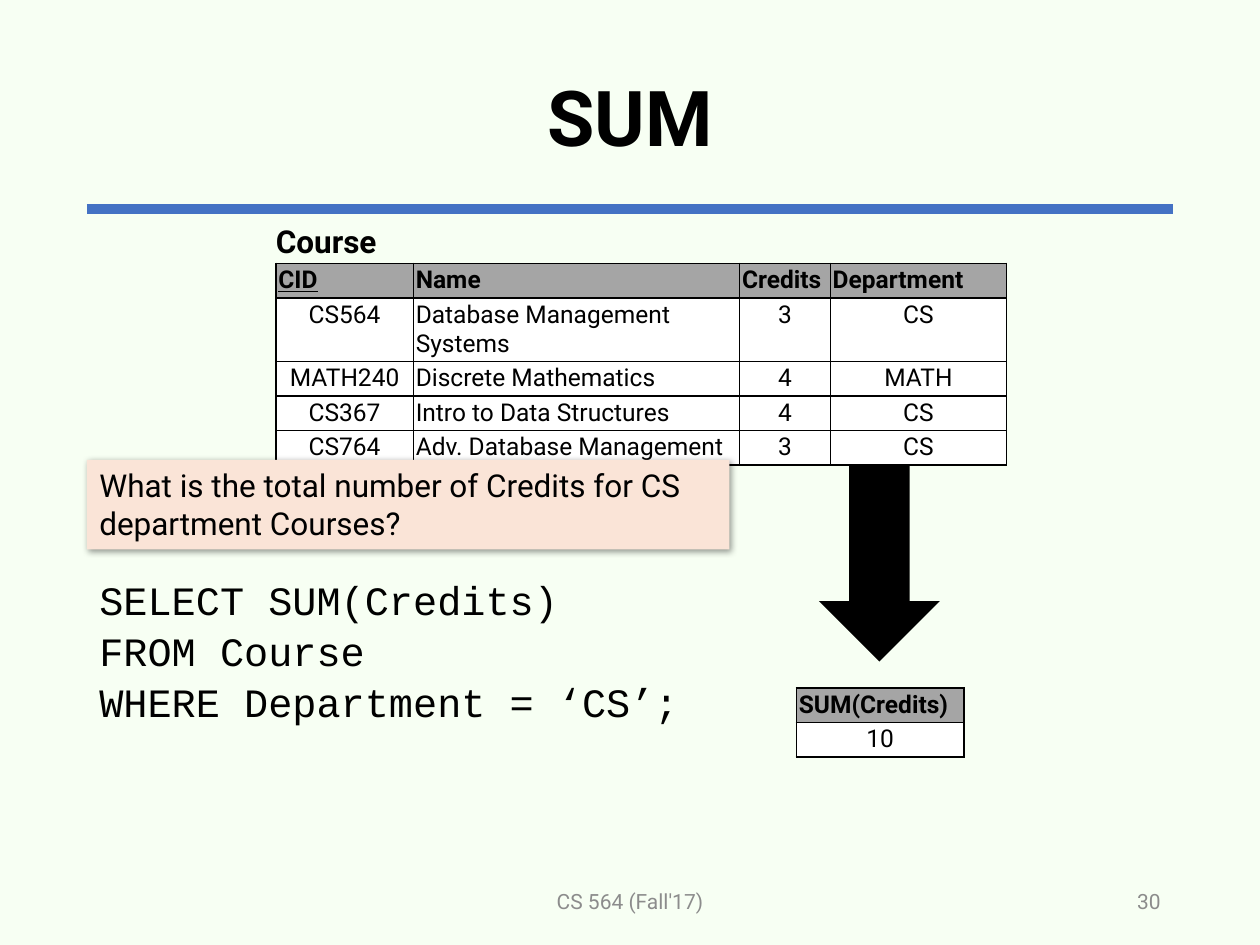
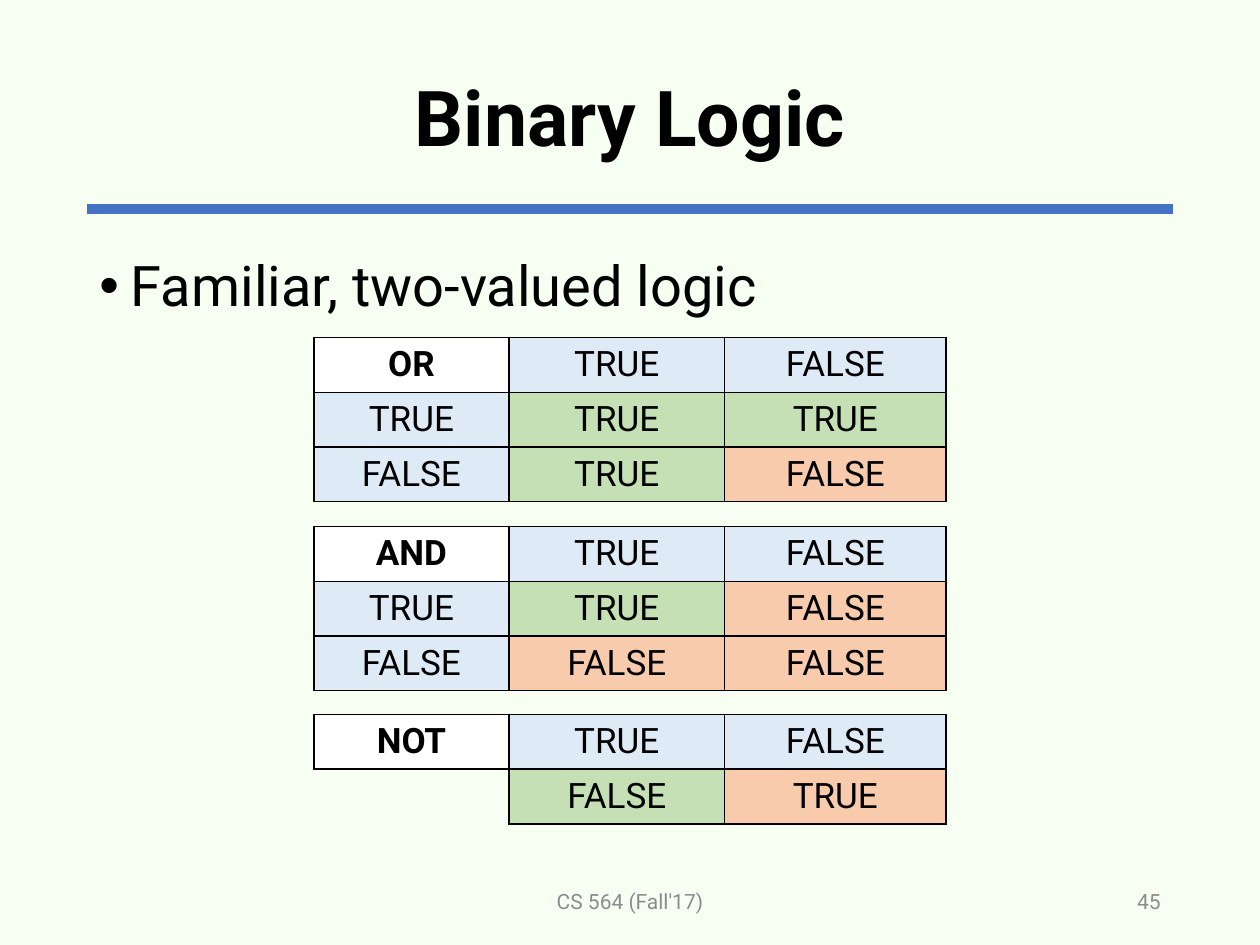
import pptx
import pptx.dml.color
import pptx.enum.shapes
import pptx.enum.text
import pptx.oxml
import pptx.oxml.ns
import pptx.util
from pptx.util import Inches

COLORS = {
    "background": "F7FFF3", "text": "000000", "rule": "4472C4", "footer": "8C8C8C",
    "header": "A5A5A5", "cell": "FFFFFF", "question": "FAE4D7",
    "input": "DEEBF7", "green": "C5E0B4", "orange": "F8CBAD",
}
ALIGN = pptx.enum.text.PP_ALIGN
ANCHOR = pptx.enum.text.MSO_ANCHOR
SHAPE = pptx.enum.shapes.MSO_SHAPE
LEFT, WIDTH = 0.69, 8.62
FOOTER = "CS 564 (Fall'17)"
BORDERS = ("lnL", "lnR", "lnT", "lnB")


def color(name):
    return pptx.dml.color.RGBColor.from_string(COLORS[name])


def set_values(target, values):
    for name, value in values.items():
        setattr(target, name, value)


def xml(tag, attributes="", content=""):
    namespace = pptx.oxml.ns.nsdecls("a")
    return pptx.oxml.parse_xml(f"<a:{tag} {namespace} {attributes}>{content}</a:{tag}>")


def write(paragraph, text, size, align=ALIGN.LEFT, font="Roboto", ink="text",
          bold=False, underline=False, spacing=1.0):
    set_values(paragraph, {"alignment": align, "line_spacing": spacing})
    run = paragraph.add_run()
    run.text = text
    set_values(run.font, {"name": font, "size": pptx.util.Pt(size),
                          "bold": bold, "underline": underline})
    run.font.color.rgb = color(ink)


def add_text(slide, box, lines, size, anchor=ANCHOR.TOP, wrap=True, **style):
    shape = slide.shapes.add_textbox(*map(Inches, box))
    frame = shape.text_frame
    set_values(frame, {"word_wrap": wrap, "vertical_anchor": anchor})
    for index, line in enumerate(lines):
        paragraph = frame.add_paragraph() if index else frame.paragraphs[0]
        write(paragraph, line, size, **style)
    return shape


def add_bullet(slide, box, text, size):
    shape = add_text(slide, box, [text], size, spacing=0.9)
    properties = shape.text_frame.paragraphs[0]._p.get_or_add_pPr()
    properties.set("marL", str(Inches(0.25)))
    properties.set("indent", str(-Inches(0.25)))
    properties.append(xml("buFont", 'typeface="Arial"'))
    properties.append(xml("buChar", 'char="•"'))


def add_filled_shape(slide, kind, box, fill):
    shape = slide.shapes.add_shape(kind, *map(Inches, box))
    shape.shadow.inherit = False
    shape.fill.solid()
    shape.fill.fore_color.rgb = color(fill)
    shape.line.fill.background()
    return shape


def add_question(slide, box, text):
    shape = add_filled_shape(slide, SHAPE.RECTANGLE, box, "question")
    shadow = xml("outerShdw", 'blurRad="50800" dist="12700" dir="2700000" rotWithShape="0"',
                 f'<a:srgbClr val="{COLORS["text"]}"><a:alpha val="40000"/></a:srgbClr>')
    shape._element.spPr.find(pptx.oxml.ns.qn("a:effectLst")).append(shadow)
    set_values(shape.text_frame, {"word_wrap": True, "vertical_anchor": ANCHOR.TOP})
    write(shape.text_frame.paragraphs[0], text, 18)


def set_borders(cell, visible=BORDERS):
    properties = cell._tc.get_or_add_tcPr()
    for index, side in enumerate(BORDERS):
        paint = (f'<a:solidFill><a:srgbClr val="{COLORS["text"]}"/></a:solidFill>'
                 if side in visible else "<a:noFill/>")
        properties.insert(index, xml(side, 'w="12700"', paint))


def add_table(slide, left, top, widths, heights, rows, style_cell):
    """style_cell(row, column, text) gives fill, text style, cell values."""
    box = map(Inches, (left, top, sum(widths), sum(heights)))
    table = slide.shapes.add_table(len(rows), len(widths), *box).table
    set_values(table, {"first_row": False, "horz_banding": False})
    for column, width in zip(table.columns, widths):
        column.width = Inches(width)
    for row_index, texts in enumerate(rows):
        table.rows[row_index].height = Inches(heights[row_index])
        for column_index, text in enumerate(texts):
            cell = table.cell(row_index, column_index)
            if text is None:
                cell.fill.background()
                set_borders(cell, ("lnT", "lnR"))
                continue
            fill, style, values = style_cell(row_index, column_index, text)
            set_values(cell, values)
            cell.fill.solid()
            cell.fill.fore_color.rgb = color(fill)
            set_borders(cell)
            write(cell.text_frame.paragraphs[0], text, **style)


def style_relation(row, column, text):
    centred = row > 0 and text[0].isalnum() and column != 1
    style = {"size": 14, "bold": row == 0, "underline": text == "CID",
             "align": ALIGN.CENTER if centred else ALIGN.LEFT}
    sides = ("left", "right", "top", "bottom")
    margins = {f"margin_{side}": Inches(0.02) for side in sides}
    return "cell" if row else "header", style, margins


def add_truth_table(slide, top, rows, result_fills):
    def style_logic(row, column, text):
        corner = row == column == 0
        if corner:
            fill = "cell"
        else:
            fill = result_fills[text] if row and column else "input"
        style = {"size": 20, "bold": corner, "align": ALIGN.CENTER}
        return fill, style, {"vertical_anchor": ANCHOR.MIDDLE}

    add_table(slide, 2.49, top, (1.55, 1.71, 1.76), [0.43] * len(rows), rows, style_logic)


def add_base_slide(presentation, title, number):
    slide = presentation.slides.add_slide(presentation.slide_layouts[6])
    slide.background.fill.solid()
    slide.background.fill.fore_color.rgb = color("background")
    # Rule under the title
    ends = map(Inches, (LEFT, 1.66, LEFT + WIDTH, 1.66))
    rule = slide.shapes.add_connector(pptx.enum.shapes.MSO_CONNECTOR.STRAIGHT, *ends)
    rule.line.color.rgb = color("rule")
    rule.line.width = pptx.util.Pt(6)
    rule._element.spPr.append(xml("effectLst"))
    # Title, footer and slide number
    add_text(slide, (LEFT, 0.24, WIDTH, 1.45), [title], 44, ANCHOR.MIDDLE,
             align=ALIGN.CENTER, bold=True, spacing=0.9)
    for text, left, width, align in ((FOOTER, 3.31, 3.38, ALIGN.CENTER),
                                     (str(number), 7.06, 2.25, ALIGN.RIGHT)):
        add_text(slide, (left, 6.95, width, 0.4), [text], 12, ANCHOR.MIDDLE,
                 align=align, ink="footer")
    return slide


def build_sum(presentation):
    slide = add_base_slide(presentation, "SUM", 30)
    # Query
    query = ["SELECT SUM(Credits)", "FROM Course", "WHERE Department = ‘CS’;"]
    add_text(slide, (LEFT, 4.5, 6, 1.38), query, 23, font="Courier New", spacing=1.05)
    # Course relation and its result
    add_filled_shape(slide, SHAPE.DOWN_ARROW, (6.5, 3.67, 0.96, 1.58), "text")
    courses = [
        ("CID", "Name", "Credits", "Department"),
        ("CS564", "Database Management Systems", "3", "CS"),
        ("MATH240", "Discrete Mathematics", "4", "MATH"),
        ("CS367", "Intro to Data Structures", "4", "CS"),
        ("CS764", "Adv. Database Management", "3", "CS"),
    ]
    add_table(slide, 2.19, 2.09, (1.09, 2.59, 0.72, 1.4),
              (0.27, 0.5, 0.27, 0.27, 0.27), courses, style_relation)
    add_text(slide, (2.09, 1.71, 1.01, 0.4), ["Course"], 18, wrap=False, bold=True)
    add_table(slide, 6.32, 5.46, (1.33,), (0.27, 0.27),
              [("SUM(Credits)",), ("10",)], style_relation)
    # Question
    add_question(slide, (LEFT, 3.65, 5.1, 0.71),
                 "What is the total number of Credits for CS department Courses?")


def build_binary_logic(presentation):
    slide = add_base_slide(presentation, "Binary Logic", 45)
    add_bullet(slide, (LEFT, 2, WIDTH, 4.76), "Familiar, two-valued logic", 32)
    # Truth tables
    true, false = "TRUE", "FALSE"
    fills = {true: "green", false: "orange"}
    add_truth_table(slide, 2.68, [("OR", true, false), (true, true, true),
                                  (false, true, false)], fills)
    add_truth_table(slide, 4.18, [("AND", true, false), (true, true, false),
                                  (false, false, false)], fills)
    add_truth_table(slide, 5.67, [("NOT", true, false), (None, false, true)],
                    {false: "green", true: "orange"})


def main():
    presentation = pptx.Presentation()
    set_values(presentation, {"slide_width": Inches(10), "slide_height": Inches(7.5)})
    build_sum(presentation)
    build_binary_logic(presentation)
    presentation.save("out.pptx")


if __name__ == "__main__":
    main()
